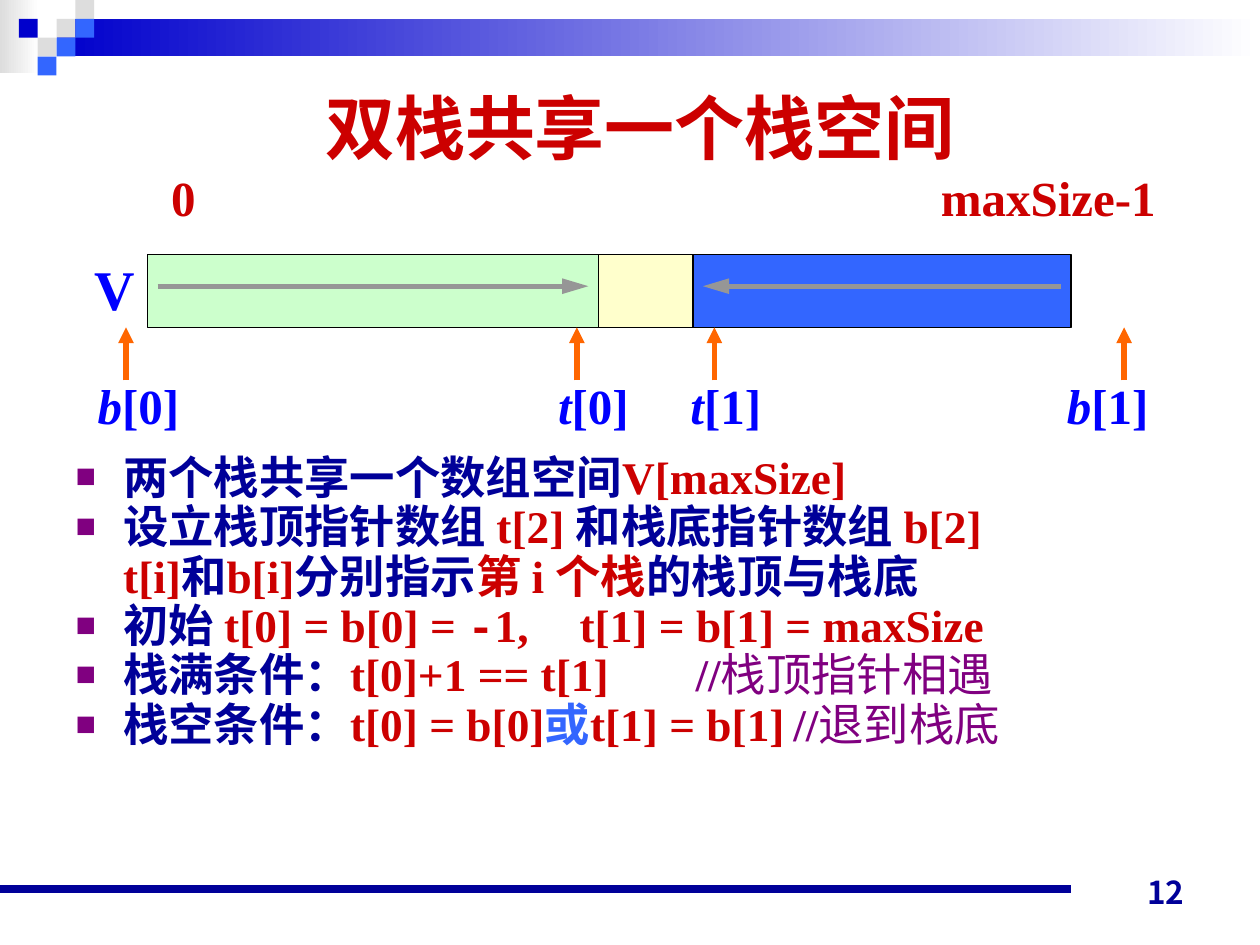
"""Build the slide on two stacks sharing one array."""
from lxml.etree import SubElement
from pptx import Presentation
from pptx.dml.color import RGBColor
from pptx.enum.shapes import MSO_CONNECTOR, MSO_SHAPE
from pptx.enum.text import MSO_ANCHOR, MSO_AUTO_SIZE, PP_ALIGN
from pptx.oxml.ns import qn
from pptx.util import Cm, Pt

NAVY = RGBColor(0x00, 0x00, 0x99)
DEEP_BLUE = RGBColor(0x00, 0x00, 0xCC)
BLUE = RGBColor(0x00, 0x00, 0xFF)
SKY = RGBColor(0x33, 0x66, 0xFF)
RED = RGBColor(0xCC, 0x00, 0x00)
PURPLE = RGBColor(0x80, 0x00, 0x80)
ORANGE = RGBColor(0xFF, 0x66, 0x00)
GREEN = RGBColor(0xCC, 0xFF, 0xCC)
CREAM = RGBColor(0xFF, 0xFF, 0xCC)
SILVER = RGBColor(0xDD, 0xDD, 0xDD)
GRAY = RGBColor(0x96, 0x96, 0x96)
BLACK = RGBColor(0x00, 0x00, 0x00)
WHITE = RGBColor(0xFF, 0xFF, 0xFF)
SERIF = "Times New Roman"

presentation = Presentation()
presentation.slide_width, presentation.slide_height = Cm(25.4), Cm(19.05)
slide = presentation.slides.add_slide(presentation.slide_layouts[1])
title, body = slide.placeholders[0], slide.placeholders[1]


def add_rectangle(left, top, width, height, color, fade=False, outline=False):
    shape = slide.shapes.add_shape(
        MSO_SHAPE.RECTANGLE, Cm(left), Cm(top), Cm(width), Cm(height))
    shape.shadow.inherit = False
    if fade:
        shape.fill.gradient()
        shape.fill.gradient_angle = 0
        for stop, stop_color in zip(shape.fill.gradient_stops, (color, WHITE)):
            stop.color.rgb = stop_color
    else:
        shape.fill.solid()
        shape.fill.fore_color.rgb = color
    if outline:
        shape.line.color.rgb = BLACK
        shape.line.width = Pt(0.75)
    else:
        shape.line.fill.background()


def add_line(start, end, color, width, head_length=None):
    connector = slide.shapes.add_connector(
        MSO_CONNECTOR.STRAIGHT, *map(Cm, start), *map(Cm, end))
    connector.line.color.rgb = color
    connector.line.width = Pt(width)
    if head_length:
        SubElement(connector.line._get_or_add_ln(), qn("a:tailEnd"),
                   type="triangle", w="med", len=head_length)
    SubElement(connector._element.spPr, qn("a:effectLst"))


add_rectangle(0, 0, 0.79, 1.47, SILVER, fade=True)
add_rectangle(1.14, 0.38, 24.26, 0.76, DEEP_BLUE, fade=True)
TILE = 0.38
for column, row, color in [(3, 1, SILVER), (4, 0, SILVER), (4, 1, SKY), (2, 2, SILVER),
                           (1, 1, DEEP_BLUE), (3, 2, SKY), (2, 3, SKY)]:
    add_rectangle(column * TILE, row * TILE, TILE, TILE, color)
add_line((0, 17.93), (21.59, 17.93), NAVY, 4.5)

title.left, title.top, title.width, title.height = Cm(1.47), Cm(1.5), Cm(22.86), Cm(2.03)
title.text_frame.auto_size = MSO_AUTO_SIZE.NONE
paragraph = title.text_frame.paragraphs[0]
paragraph.text = "双栈共享一个栈空间"
paragraph.alignment = PP_ALIGN.CENTER
paragraph.line_spacing = 1.05
paragraph.font.name, paragraph.font.size, paragraph.font.bold = SERIF, Pt(40), True
paragraph.font.color.rgb = RED

for left, width, color in [(2.97, 9.1, GREEN), (12.07, 1.9, CREAM), (13.97, 7.62, SKY)]:
    add_rectangle(left, 5.13, width, 1.47, color, outline=True)
add_line((3.18, 5.77), (11.86, 5.77), GRAY, 3, "lg")
add_line((21.39, 5.77), (14.17, 5.77), GRAY, 3, "lg")
for center in (2.54, 11.63, 14.4, 22.66):
    add_line((center, 7.67), (center, 6.6), ORANGE, 3, "med")

labels = [
    (3.2, 3.25, 2, "", "0", 28, RED),
    (18.72, 3.25, 5.5, "", "maxSize-1", 28, RED),
    (1.65, 5, 1.6, "", "V", 32, BLUE),
    (1.72, 7.44, 2.6, "b", "[0]", 28, BLUE),
    (11, 7.44, 2.6, "t", "[0]", 28, BLUE),
    (13.67, 7.44, 2.6, "t", "[1]", 28, BLUE),
    (21.26, 7.44, 2.6, "b", "[1]", 28, BLUE),
]
for left, top, width, variable, text, size, color in labels:
    box = slide.shapes.add_textbox(Cm(left), Cm(top), Cm(width), Cm(1.45))
    box.text_frame.word_wrap = True
    paragraph = box.text_frame.paragraphs[0]
    if variable:
        run = paragraph.add_run()
        run.text, run.font.italic = variable, True
    paragraph.add_run().text = text
    paragraph.font.name, paragraph.font.size, paragraph.font.bold = SERIF, Pt(size), True
    paragraph.font.color.rgb = color

points = [
    (True, None, [("两个栈共享一个数组空间", NAVY), ("V[maxSize]", RED)]),
    (True, None, [("设立栈顶指针数组 ", NAVY), ("t[2] ", RED),
                  ("和栈底指针数组 ", NAVY), ("b[2]", RED)]),
    (False, None, [("t[i]", RED), ("和", NAVY), ("b[i]", RED), ("分别指示", NAVY),
                   ("第 i 个栈", RED), ("的栈顶与栈底", NAVY)]),
    (True, 9.07, [("初始 ", NAVY), ("t[0] = b[0] = ", RED), ("-", RED),
                  ("1,\tt[1] = b[1] = maxSize", RED)]),
    (True, 12.5, [("栈满条件：", NAVY), ("t[0]+1 == t[1]\t", RED),
                  ("//", PURPLE), ("栈顶指针相遇", PURPLE)]),
    (True, 14.47, [("栈空条件：", NAVY), ("t[0] = b[0]", RED), ("或", SKY),
                   ("t[1] = b[1]\t", RED), ("//", PURPLE), ("退到栈底", PURPLE)]),
]
body.left, body.top, body.width, body.height = Cm(1.27), Cm(9.09), Cm(22.83), Cm(8.53)
frame = body.text_frame
frame.auto_size = MSO_AUTO_SIZE.NONE
for index, (bulleted, tab, runs) in enumerate(points):
    paragraph = frame.add_paragraph() if index else frame.paragraphs[0]
    properties = paragraph._p.get_or_add_pPr()
    properties.set("marL", str(Cm(0.96)))
    properties.set("indent", str(Cm(-0.96) if bulleted else 0))
    if bulleted:
        bullet_color = SubElement(properties, qn("a:buClr"))
        SubElement(bullet_color, qn("a:srgbClr"), val=str(PURPLE))
        SubElement(properties, qn("a:buSzPct"), val="75000")
        SubElement(properties, qn("a:buChar"), char="■")
    else:
        SubElement(properties, qn("a:buNone"))
    if tab:
        tab_list = SubElement(properties, qn("a:tabLst"))
        SubElement(tab_list, qn("a:tab"), pos=str(Cm(tab)), algn="l")
    paragraph.line_spacing = 0.85
    paragraph.space_before = Pt(1.8 if index else 0)
    paragraph.font.size = Pt(25.9)
    for text, color in runs:
        run = paragraph.add_run()
        run.text = text
        run.font.name = "Courier New" if text == "-" else SERIF
        run.font.bold = text not in ("栈顶指针相遇", "退到栈底")
        run.font.color.rgb = color

number = slide.shapes.add_textbox(Cm(18.21), Cm(17.22), Cm(5.92), Cm(1.27))
number.text_frame.word_wrap = True
number.text_frame.vertical_anchor = MSO_ANCHOR.BOTTOM
paragraph = number.text_frame.paragraphs[0]
paragraph.text = "12"
paragraph.alignment = PP_ALIGN.RIGHT
paragraph.font.name, paragraph.font.size, paragraph.font.bold = "Noto Sans CJK JP", Pt(18), True
paragraph.font.color.rgb = NAVY

presentation.save("out.pptx")
